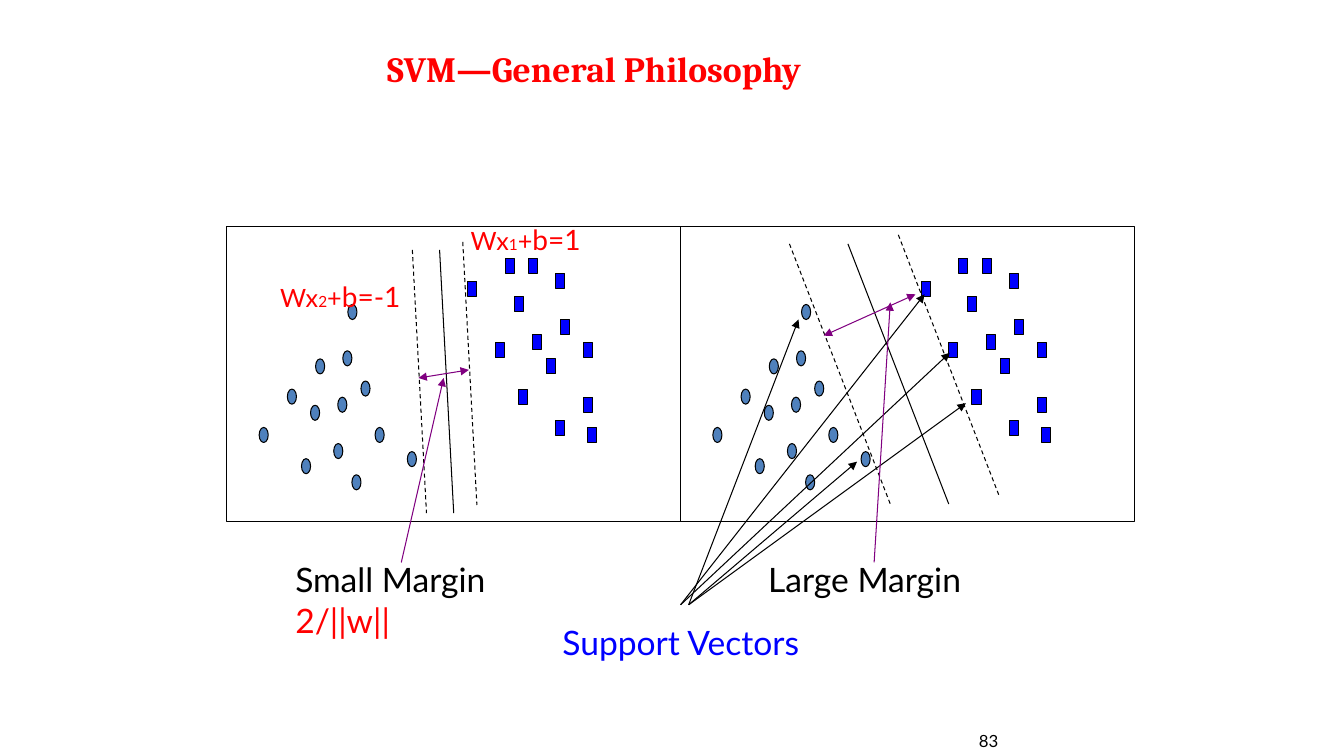
from lxml.etree import SubElement
from pptx import Presentation
from pptx.dml.color import RGBColor
from pptx.enum.dml import MSO_LINE
from pptx.enum.shapes import MSO_CONNECTOR, MSO_SHAPE
from pptx.enum.text import MSO_ANCHOR, PP_ALIGN
from pptx.oxml.ns import qn
from pptx.util import Pt

PX = 9144
BLACK = RGBColor(0, 0, 0)
RED = RGBColor(255, 0, 0)
BLUE = RGBColor(0, 0, 255)
STEEL = RGBColor(0x4F, 0x81, 0xBD)
PURPLE = RGBColor(128, 0, 128)

deck = Presentation()
deck.slide_width = 1333 * PX
deck.slide_height = 750 * PX
slide = deck.slides.add_slide(deck.slide_layouts[5])


def label(home, box, rows, wrap=False):
    frame = home.shapes.add_textbox(*[n * PX for n in box]).text_frame
    frame.word_wrap = wrap
    for i, row in enumerate(rows):
        para = frame.add_paragraph() if i else frame.paragraphs[0]
        for text, size, color in row:
            run = para.add_run()
            run.text = text
            run.font.name = "Lato"
            run.font.size = Pt(size)
            run.font.color.rgb = color
    return frame


def link(home, ends, color=BLACK, tips=(), dash=False):
    line = home.shapes.add_connector(MSO_CONNECTOR.STRAIGHT, *[n * PX for n in ends])
    line.line.color.rgb = color
    line.line.width = Pt(0.75)
    if dash:
        line.line.dash_style = MSO_LINE.DASH
    for tip in tips:
        SubElement(line.line._get_or_add_ln(), qn("a:" + tip), type="triangle")
    SubElement(line._element.spPr, qn("a:effectLst"))


page = label(slide, (792, 708, 208, 42), [[("83", 12, BLACK)]], True)
page.vertical_anchor = MSO_ANCHOR.BOTTOM
page.paragraphs[0].alignment = PP_ALIGN.RIGHT

title = slide.shapes.title
title.left, title.top, title.width, title.height = [n * PX for n in (374, 42, 942, 53)]
title.text_frame.text = "SVM—General Philosophy"
title.text_frame.vertical_anchor = MSO_ANCHOR.TOP
head = title.text_frame.paragraphs[0]
head.alignment = PP_ALIGN.LEFT
font = head.runs[0].font
font.name, font.size, font.bold = "Cambria", Pt(25.4), True
font.color.rgb = RED

dots = [(299, 455), (308, 402), (257, 424), (285, 386), (331, 440), (313, 356), (335, 394),
        (340, 348), (358, 378), (372, 424), (349, 471), (404, 448), (345, 302)]
blocks = [(491, 340), (464, 279), (501, 256), (514, 386), (510, 294), (528, 332), (524, 256),
          (551, 271), (542, 356), (556, 317), (551, 417), (579, 340), (579, 394), (583, 424)]
items = [(MSO_SHAPE.OVAL, x, y, 9, 15, STEEL) for x, y in dots]
items += [(MSO_SHAPE.RECTANGLE, x, y, 9, 15, BLUE) for x, y in blocks]
items.append((MSO_SHAPE.RECTANGLE, 225, 225, 450, 292, None))

panels = [
    (0, [(459, 240, 473, 501), (409, 248, 423, 509), (436, 248, 450, 509)]),
    (450, [(783, 242, 883, 500), (891, 233, 991, 492), (841, 242, 941, 500)]),
]
for shift, planes in panels:
    panel = slide.shapes.add_group_shape()
    for kind, x, y, wide, high, color in items:
        mark = panel.shapes.add_shape(kind, (x + shift) * PX, y * PX, wide * PX, high * PX)
        mark.shadow.inherit = False
        mark.line.color.rgb = BLACK
        mark.line.width = Pt(0.75)
        if color is None:
            mark.fill.background()
        else:
            mark.fill.solid()
            mark.fill.fore_color.rgb = color
    for i, ends in enumerate(planes):
        link(panel, ends, dash=i < 2)

support = slide.shapes.add_group_shape()
label(support, (548, 612, 255, 50), [[("Support Vectors", 24, BLUE)]])
for x, goal in [(675, (917, 292)), (675, (942, 350)), (683, (958, 400)),
                (683, (850, 458)), (683, (792, 317))]:
    link(support, (x, 600, *goal), tips=["tailEnd"])

margins = [
    ((283, 550, 212, 91), [[("Small Margin", 24, BLACK)], [("2/||w||", 24, RED)]],
     (415, 375, 465, 367), (398, 558, 440, 375)),
    ((752, 550, 212, 50), [[("Large Margin", 24, BLACK)]],
     (817, 333, 908, 292), (867, 558, 883, 300)),
]
for box, rows, span, lead in margins:
    margin = slide.shapes.add_group_shape()
    label(margin, box, rows)
    link(margin, span, PURPLE, ["headEnd", "tailEnd"])
    link(margin, lead, PURPLE, ["tailEnd"])

for x, y, sub, rest in [(457, 216, "1", "b=1"), (268, 272, "2", "b=-1")]:
    row = [("Wx", 18, RED), (sub, 11, RED), ("+", 18, RED), (rest, 20, RED)]
    label(slide, (x, y, 186, 44), [row], True)

deck.save("out.pptx")
